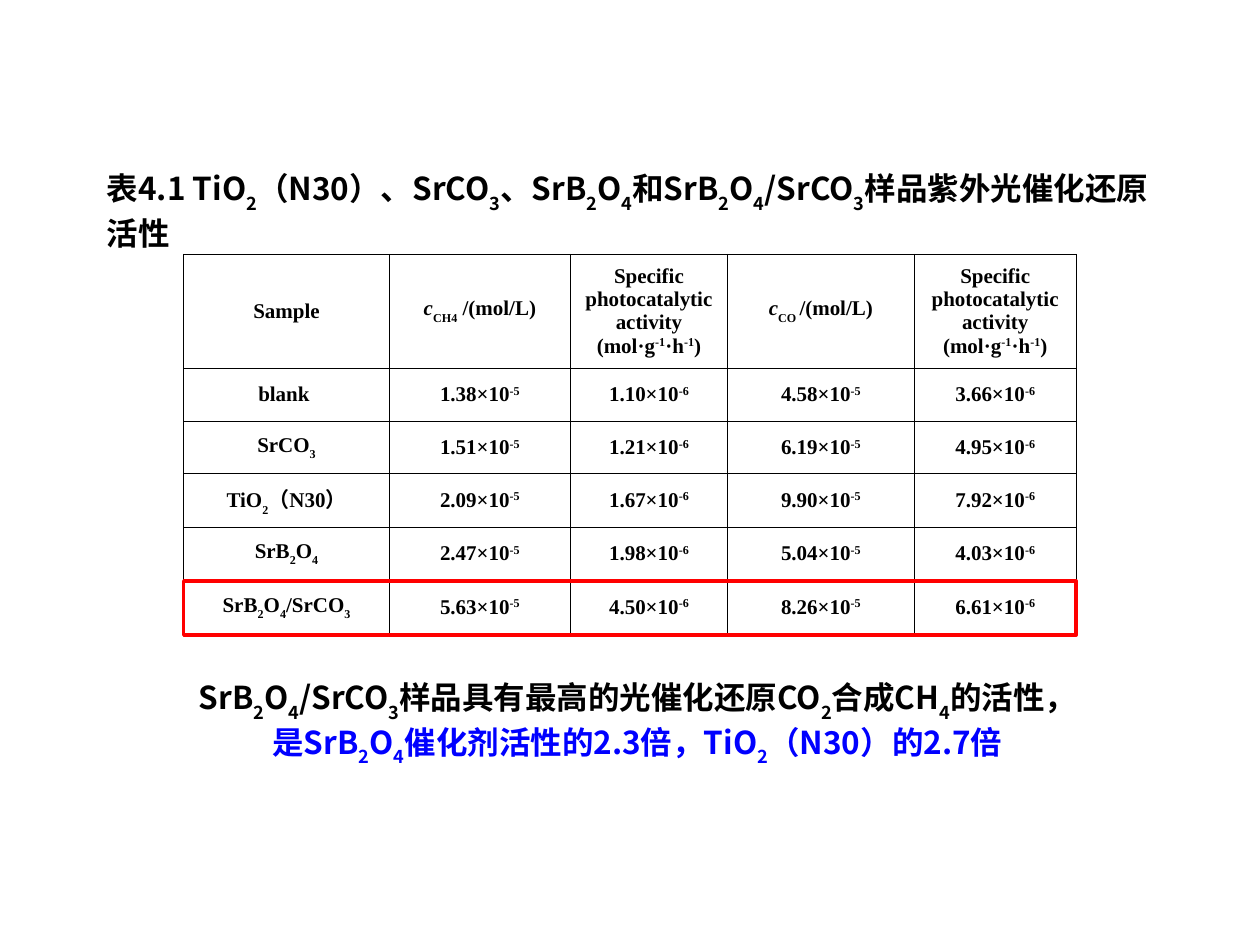
import pptx
import pptx.dml.color
import pptx.enum.shapes
import pptx.enum.text
import pptx.oxml
import pptx.oxml.ns
import pptx.util

Pt = pptx.util.Pt
SANS = "Noto Sans CJK SC"
SERIF = "Times New Roman"
MIDDLE = pptx.enum.text.MSO_ANCHOR.MIDDLE
CENTER = pptx.enum.text.PP_ALIGN.CENTER
BASELINES = {"_": "-30000", "^": "30000"}

CAPTION = ("表4.1 TiO|_2|（N30）、SrCO|_3|、SrB|_2|O|_4|和SrB|_2|O|_4|/SrCO|_3"
           "|样品紫外光催化还原活性")
CONCLUSION = [
    ("SrB|_2|O|_4|/SrCO|_3|样品具有最高的光催化还原CO|_2|合成CH|_4|的活性，", "000000"),
    ("是SrB|_2|O|_4|催化剂活性的2.3倍，TiO|_2|（N30）的2.7倍", "0000FF"),
]
ACTIVITY = "Specific photocatalytic activity (mol·g|^-1|·h|^-1|)"
HEADERS = ["Sample", "~c|_CH4| /(mol/L)", ACTIVITY, "~c|_CO |/(mol/L)", ACTIVITY]
EXPONENTS = ["-5", "-6", "-5", "-6"]
SAMPLES = [
    ("blank ", "1.38", "1.10", "4.58", "3.66"),
    ("SrCO|_3", "1.51", "1.21", "6.19", "4.95"),
    ("TiO|_2|（N30）", "2.09", "1.67", "9.90", "7.92"),
    ("SrB|_2|O|_4", "2.47", "1.98", "5.04", "4.03"),
    ("SrB|_2|O|_4|/SrCO|_3", "5.63", "4.50", "8.26", "6.61"),
]
COLUMN_WIDTHS = [117.5, 103.5, 89.75, 106.75, 92.5]
ROW_HEIGHTS = [65, 30.5, 29.75, 30.75, 30.25, 31]


def color(value):
    return pptx.dml.color.RGBColor.from_string(value)


def write(paragraph, text, font=SANS, size=18, fill="000000", align=None):
    """Write runs parted by |, led by _ (subscript), ^ (superscript) or ~ (italic)."""
    paragraph.alignment = align
    for part in text.split("|"):
        mark = part[0] if part[0] in "_^~" else ""
        run = paragraph.add_run()
        run.text = part[len(mark):]
        run.font.name = font
        run.font.size = Pt(size)
        run.font.bold = True
        run.font.color.rgb = color(fill)
        if mark == "~":
            run.font.italic = True
        properties = run.font._element
        if mark in BASELINES:
            properties.set("baseline", BASELINES[mark])
        east_asian = pptx.oxml.parse_xml(
            f'<a:ea {pptx.oxml.ns.nsdecls("a")} typeface="{SANS}"/>')
        properties.find(pptx.oxml.ns.qn("a:latin")).addnext(east_asian)


def add_text_frame(slide, left, top, width, height):
    frame = slide.shapes.add_textbox(Pt(left), Pt(top), Pt(width), Pt(height)).text_frame
    frame.word_wrap = True
    frame.auto_size = pptx.enum.text.MSO_AUTO_SIZE.SHAPE_TO_FIT_TEXT
    return frame


def add_caption(slide, left, top, width, height):
    frame = add_text_frame(slide, left, top, width, height)
    frame.vertical_anchor = MIDDLE
    write(frame.paragraphs[0], CAPTION)


def add_conclusion(slide, left, top, width, height):
    frame = add_text_frame(slide, left, top, width, height)
    for index, (text, fill) in enumerate(CONCLUSION):
        paragraph = frame.add_paragraph() if index else frame.paragraphs[0]
        write(paragraph, text, fill=fill, align=CENTER)


def set_borders(cell, fill="000000", width=0.45):
    properties = cell._tc.get_or_add_tcPr()
    for index, side in enumerate(("lnL", "lnR", "lnT", "lnB")):
        properties.insert(index, pptx.oxml.parse_xml(
            f'<a:{side} {pptx.oxml.ns.nsdecls("a")} w="{Pt(width)}">'
            f'<a:solidFill><a:srgbClr val="{fill}"/></a:solidFill></a:{side}>'))


def add_activity_table(slide, left, top):
    rows = [HEADERS]
    for name, *values in SAMPLES:
        rows.append([name] + [f"{value}×10|^{exponent}"
                              for value, exponent in zip(values, EXPONENTS)])
    width, height = sum(COLUMN_WIDTHS), sum(ROW_HEIGHTS)
    table = slide.shapes.add_table(len(rows), len(HEADERS), Pt(left), Pt(top),
                                   Pt(width), Pt(height)).table
    table.first_row = False
    table.horz_banding = False
    for column, column_width in zip(table.columns, COLUMN_WIDTHS):
        column.width = Pt(column_width)
    for row, row_height, texts in zip(table.rows, ROW_HEIGHTS, rows):
        row.height = Pt(row_height)
        for cell, text in zip(row.cells, texts):
            cell.vertical_anchor = MIDDLE
            cell.fill.background()
            set_borders(cell)
            write(cell.text_frame.paragraphs[0], text, font=SERIF, size=12, align=CENTER)
    last_height = ROW_HEIGHTS[-1]
    add_highlight(slide, left, top + height - last_height + 0.5, width, last_height)


def add_highlight(slide, left, top, width, height):
    shape = slide.shapes.add_shape(pptx.enum.shapes.MSO_SHAPE.RECTANGLE,
                                   Pt(left), Pt(top), Pt(width), Pt(height))
    shape.shadow.inherit = False
    shape.fill.background()
    shape.line.color.rgb = color("FF0000")
    shape.line.width = Pt(2)


def main():
    presentation = pptx.Presentation()
    presentation.slide_width = Pt(720)
    presentation.slide_height = Pt(540)
    slide = presentation.slides.add_slide(presentation.slide_layouts[6])
    add_caption(slide, 54, 92.75, 612.5, 55)
    add_activity_table(slide, 105, 145.25)
    add_conclusion(slide, 54, 384, 620.5, 58.5)
    presentation.save("out.pptx")


if __name__ == "__main__":
    main()
